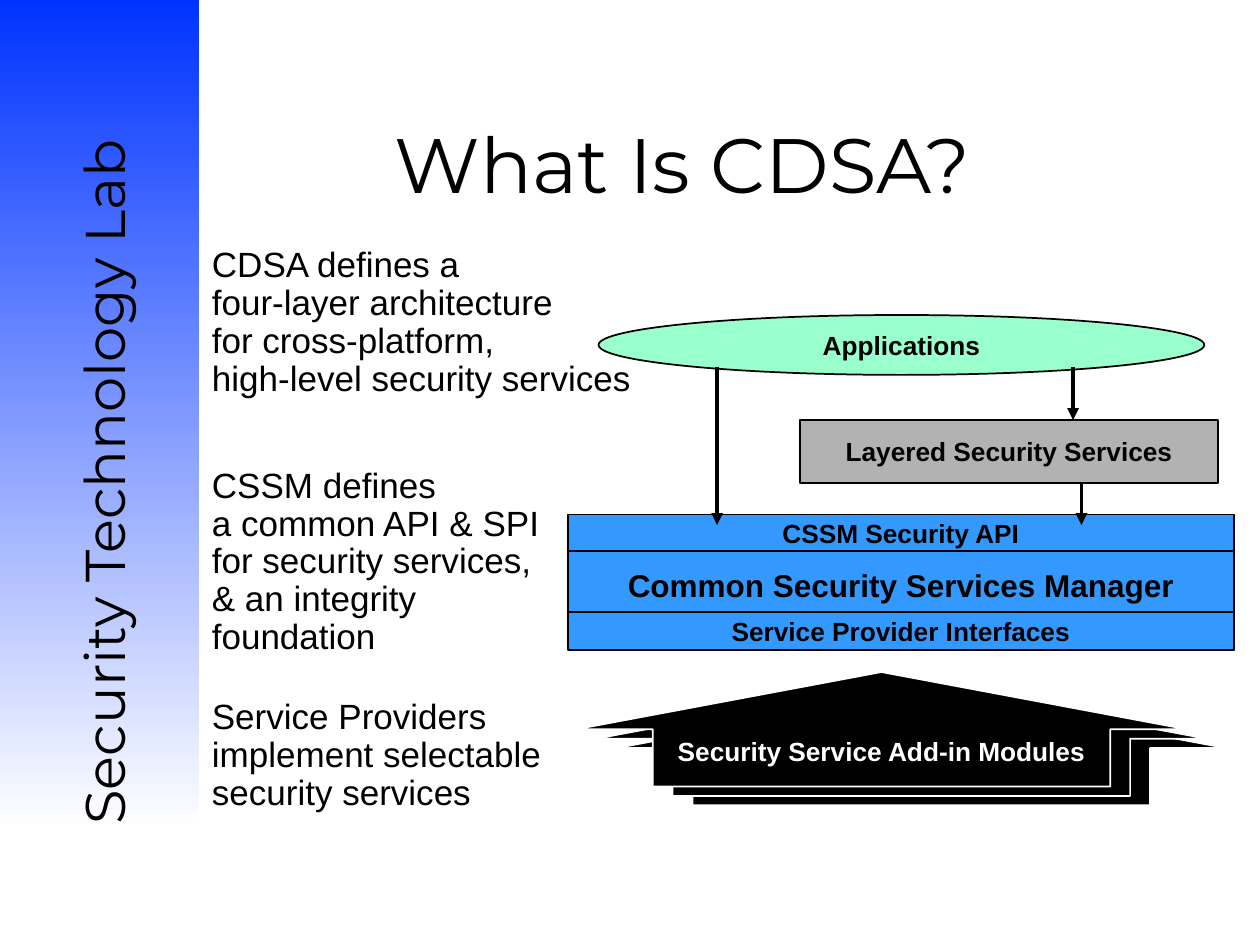
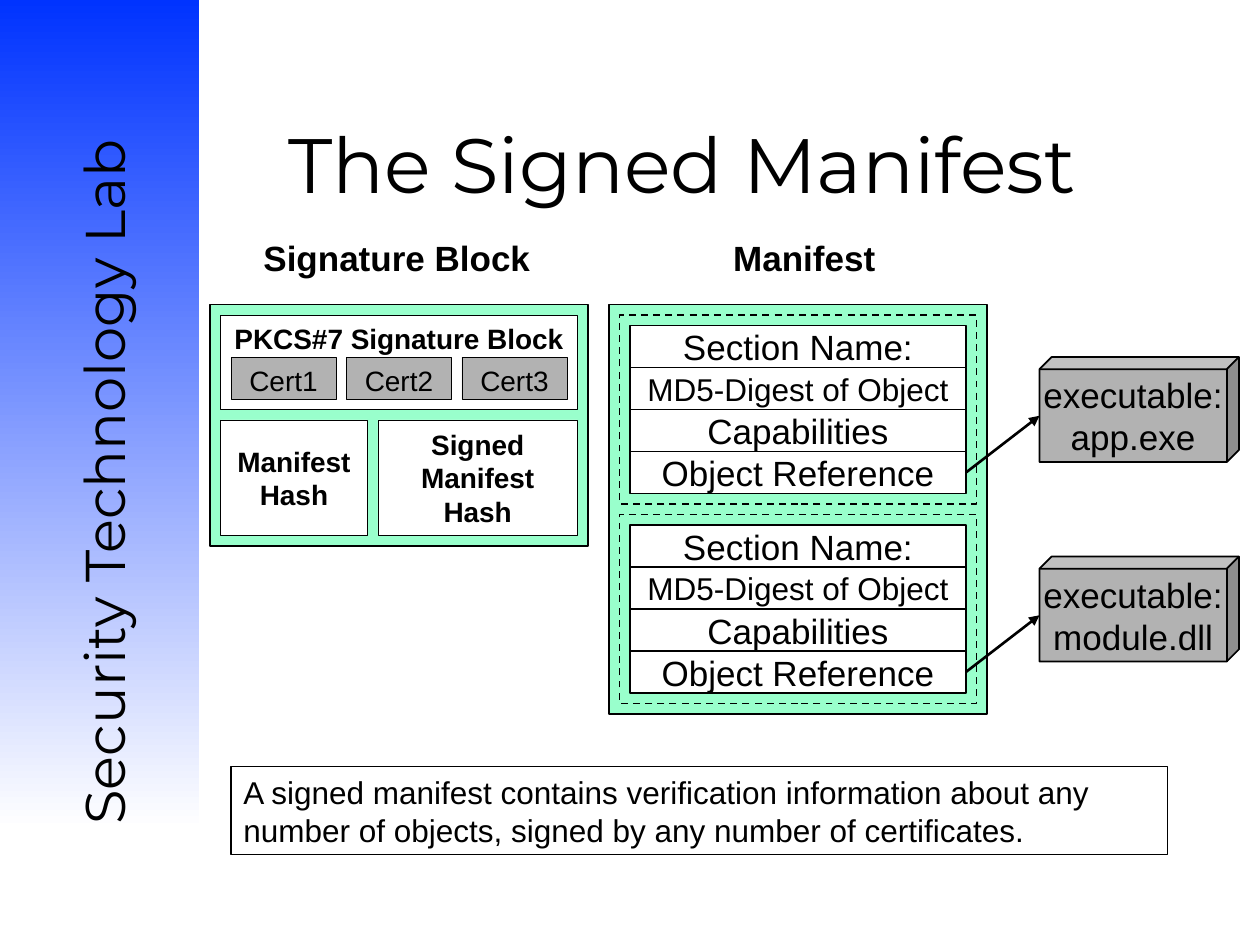
from dataclasses import dataclass

import lxml.etree
import pptx
import pptx.dml.color
import pptx.enum.dml
import pptx.enum.shapes
import pptx.enum.text
import pptx.oxml.ns
import pptx.util

SHAPE = pptx.enum.shapes.MSO_SHAPE
ALIGN = pptx.enum.text.PP_ALIGN
ANCHOR = pptx.enum.text.MSO_ANCHOR
FIT = pptx.enum.text.MSO_AUTO_SIZE
EMU_PER_PX = 7620


@dataclass(frozen=True)
class Theme:
    black: str = "000000"
    white: str = "FFFFFF"
    blue: str = "0033FF"
    sky: str = "3399FF"
    mint: str = "99FFCC"
    gray: str = "B2B2B2"
    display_font: str = "Montserrat"
    text_font: str = "Arial"
    title: int = 44
    band: int = 32
    body: int = 20
    strong: int = 18
    detail: int = 16
    label: int = 15


T = Theme()


def px(n):
    return pptx.util.Emu(n * EMU_PER_PX)


def box_px(box):
    return [px(n) for n in box]


def rgb(color):
    return pptx.dml.color.RGBColor.from_string(color)


def write(sp, paragraphs, size, color=T.black, bold=False, font=T.text_font,
          align=ALIGN.LEFT, anchor=ANCHOR.TOP, wrap=False, fit=FIT.NONE,
          spacing=None, insets=(12, 6)):
    tf = sp.text_frame
    tf.word_wrap = wrap
    tf.auto_size = fit
    tf.vertical_anchor = anchor
    tf.margin_left = tf.margin_right = px(insets[0])
    tf.margin_top = tf.margin_bottom = px(insets[1])
    for i, text in enumerate(paragraphs):
        p = tf.paragraphs[0] if i == 0 else tf.add_paragraph()
        p.text = text
        p.alignment = align
        if spacing:
            p.line_spacing = spacing
        p.font.size = pptx.util.Pt(size)
        p.font.name = font
        p.font.bold = bold
        p.font.color.rgb = rgb(color)


def add_text(shapes, box, *paragraphs, size=T.body, **style):
    sp = shapes.add_textbox(*box_px(box))
    write(sp, paragraphs, size, fit=FIT.SHAPE_TO_FIT_TEXT, **style)
    return sp


def add_box(shapes, box, *paragraphs, kind=SHAPE.RECTANGLE, fill=None,
            line=T.black, width=1, dashed=False, adjust=(), size=T.label,
            align=ALIGN.CENTER, anchor=ANCHOR.MIDDLE, **style):
    sp = shapes.add_shape(kind, *box_px(box))
    sp.shadow.inherit = False
    for i, value in enumerate(adjust):
        sp.adjustments[i] = value
    if fill:
        sp.fill.solid()
        sp.fill.fore_color.rgb = rgb(fill)
    else:
        sp.fill.background()
    sp.line.color.rgb = rgb(line)
    sp.line.width = pptx.util.Pt(width)
    if dashed:
        sp.line.dash_style = pptx.enum.dml.MSO_LINE.DASH
    if paragraphs:
        write(sp, paragraphs, size, align=align, anchor=anchor, **style)
    return sp


def add_arrow(shapes, start, end, width, source=None):
    c = shapes.add_connector(pptx.enum.shapes.MSO_CONNECTOR.STRAIGHT,
                             *box_px(start + end))
    if source is not None:
        c.begin_connect(source, 3)
    c.line.color.rgb = rgb(T.black)
    c.line.width = pptx.util.Pt(width)
    qn = pptx.oxml.ns.qn
    spPr = c.element.spPr
    lxml.etree.SubElement(spPr.find(qn("a:ln")), qn("a:tailEnd"), type="triangle")
    lxml.etree.SubElement(spPr, qn("a:effectLst"))


def brand_layout(layout, slide):
    for ph in list(layout.placeholders):
        if ph.placeholder_format.idx != 0:
            ph.element.getparent().remove(ph.element)
    band = add_box(slide.shapes, (0, 0, 190, 790))
    band.line.fill.background()
    band.fill.gradient()
    band.fill.gradient_angle = 270
    for stop, color in zip(band.fill.gradient_stops, (T.blue, T.white)):
        stop.color.rgb = rgb(color)
    name = add_text(slide.shapes, (-280, 380, 757, 77), "Security Technology Lab",
                    size=T.band, font=T.display_font, wrap=True)
    name.rotation = 270
    for i, sp in enumerate((band, name)):
        layout.shapes.element.insert(2 + i, sp.element)


def add_slide(prs, layout, title):
    slide = prs.slides.add_slide(layout)
    sp = slide.shapes.title
    sp.left, sp.top, sp.width, sp.height = box_px((190, 80, 920, 150))
    write(sp, [title], T.title, font=T.display_font, align=ALIGN.CENTER,
          anchor=ANCHOR.MIDDLE, wrap=True)
    return slide


def add_addin_modules(shapes):
    group = shapes.add_group_shape().shapes
    for depth in (2, 1, 0):
        label = ["Security Service Add-in Modules"] if depth == 0 else []
        add_box(group, (549 + 19 * depth, 640 + 9 * depth, 581, 109), *label,
                kind=SHAPE.UP_ARROW, adjust=(0.75, 0.5), fill=T.black,
                line=T.white, color=T.white, bold=True)


def fill_architecture(shapes):
    add_box(shapes, (762, 400, 398, 60), "Layered Security Services",
            fill=T.gray, bold=True)
    for top, height, label, size in (
            (490, 35, "CSSM Security API", T.label),
            (525, 64, "Common Security Services Manager", T.strong),
            (583, 36, "Service Provider Interfaces", T.label)):
        add_box(shapes, (541, top, 634, height), label, fill=T.sky,
                size=size, bold=True)
    add_addin_modules(shapes)
    add_box(shapes, (570, 300, 577, 57), "Applications", kind=SHAPE.OVAL,
            fill=T.mint, bold=True)

    add_text(shapes, (190, 230, 424, 156),
             "CDSA defines a\nfour-layer architecture\nfor cross-platform,",
             "high-level security services", spacing=0.9)
    add_text(shapes, (190, 440, 350, 192),
             "CSSM defines\na common API & SPI\nfor security services,\n"
             "& an integrity foundation", spacing=0.9, wrap=True)
    add_text(shapes, (190, 660, 338, 120),
             "Service Providers\nimplement selectable", "security services",
             spacing=0.9)

    for x, top, bottom in ((683, 350, 500), (1030, 460, 500), (1022, 350, 400)):
        add_arrow(shapes, (x, top), (x, bottom), 2.25)


def add_signature_block(shapes):
    add_box(shapes, (200, 290, 360, 230), fill=T.mint)
    for box, label, anchor in (
            ((210, 400, 140, 110), "Manifest\nHash", ANCHOR.MIDDLE),
            ((360, 400, 190, 110), "Signed\nManifest\nHash", ANCHOR.MIDDLE),
            ((210, 300, 340, 90), "PKCS#7 Signature Block", ANCHOR.TOP)):
        add_box(shapes, box, label, fill=T.white, width=0.25, size=T.detail,
                bold=True, anchor=anchor)
    for i in range(3):
        add_box(shapes, (220 + 110 * i, 340, 100, 40), f"Cert{i + 1}",
                fill=T.gray, width=0.25, size=T.detail, anchor=ANCHOR.TOP)


def add_manifest_section(shapes, top, filename):
    add_box(shapes, (990, top + 40, 190, 100), "executable:", filename,
            kind=SHAPE.CUBE, adjust=(0.116,), fill=T.gray, size=T.body)
    group = shapes.add_group_shape().shapes
    add_box(group, (590, top, 340, 180), dashed=True)
    rows = (("Section Name:", T.body), ("MD5-Digest of Object", T.strong),
            ("Capabilities", T.body), ("Object Reference", T.body))
    for i, (label, size) in enumerate(rows):
        row = add_box(group, (600, top + 10 + 40 * i, 320, 40), label,
                      fill=T.white, width=0.75, size=size)
    add_arrow(shapes, (920, top + 150), (990, top + 96), 1.5, source=row)


def fill_manifest(shapes):
    for box, heading in (((230, 219, 296, 59), "Signature Block"),
                         ((678, 219, 176, 59), "Manifest")):
        add_text(shapes, box, heading, bold=True, align=ALIGN.CENTER)
    add_signature_block(shapes)
    add_box(shapes, (580, 290, 360, 390), fill=T.mint)
    for i, filename in enumerate(("app.exe", "module.dll")):
        add_manifest_section(shapes, 300 + 190 * i, filename)
    add_box(shapes, (220, 730, 892, 84),
            "A signed manifest contains verification information about any "
            "number of objects, signed by any number of certificates.",
            width=0.75, size=T.strong, align=ALIGN.LEFT, wrap=True)


def main():
    prs = pptx.Presentation()
    prs.slide_width, prs.slide_height = px(1200), px(900)
    layout = prs.slide_layouts[5]
    architecture = add_slide(prs, layout, "What Is CDSA?")
    brand_layout(layout, architecture)
    fill_architecture(architecture.shapes)
    manifest = add_slide(prs, layout, "The Signed Manifest")
    fill_manifest(manifest.shapes)
    prs.save("out.pptx")


if __name__ == "__main__":
    main()
